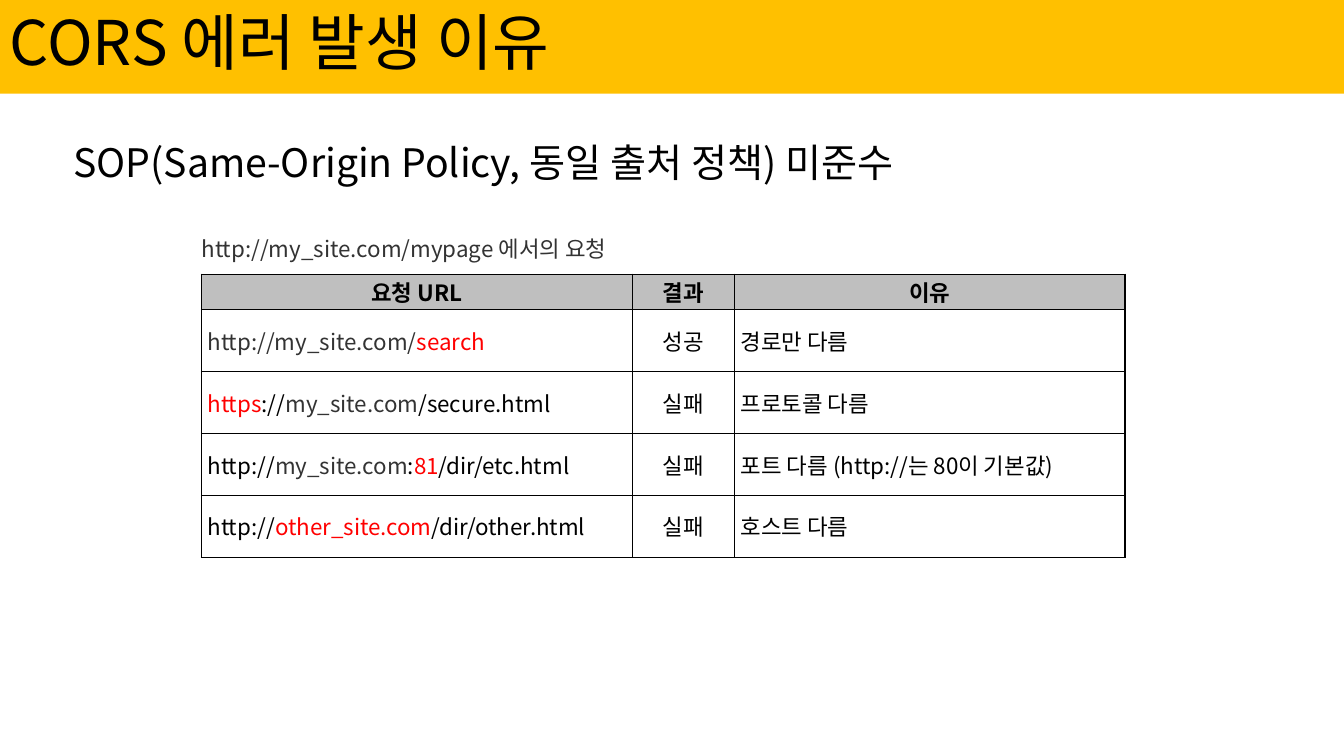
"""Build the slide that explains why CORS errors occur."""
from dataclasses import dataclass

from lxml.etree import SubElement
from pptx import Presentation
from pptx.dml.color import RGBColor
from pptx.enum.shapes import MSO_SHAPE
from pptx.enum.text import MSO_ANCHOR, PP_ALIGN
from pptx.oxml.ns import qn
from pptx.slide import Slide
from pptx.table import _Cell
from pptx.text.text import TextFrame
from pptx.util import Cm, Pt

FONT = "Noto Sans CJK KR"
COLORS = {
    "black": "000000",
    "gray": "333333",
    "red": "FF0000",
    "white": "FFFFFF",
    "header": "BFBFBF",
    "banner": "FFC000",
}
COLUMN_WIDTHS = (10.85, 2.59, 9.83)
HEADER_HEIGHT, ROW_HEIGHT = 0.89, 1.56
HEADERS = ("요청 URL", "결과", "이유")


@dataclass(frozen=True)
class Piece:
    text: str
    color: str = "black"


@dataclass(frozen=True)
class Request:
    url: tuple[Piece, ...]
    result: str
    reason: str


@dataclass(frozen=True)
class Label:
    pieces: tuple[Piece, ...]
    left: float
    top: float
    width: float
    height: float
    size: int
    anchor: MSO_ANCHOR = MSO_ANCHOR.MIDDLE
    margins: tuple[float, float] = (0.25, 0.13)
    line_spacing: float = 1.0
    space_before: int = 0
    fill: str | None = None


SITE = Piece("my_site.com", "gray")
REQUESTS = (
    Request((Piece("http://my_site.com/", "gray"), Piece("search", "red")), "성공", "경로만 다름"),
    Request((Piece("https", "red"), Piece("://"), SITE, Piece("/secure.html")), "실패", "프로토콜 다름"),
    Request(
        (Piece("http://"), SITE, Piece(":"), Piece("81", "red"), Piece("/dir/etc.html")),
        "실패",
        "포트 다름 (http://는 80이 기본값)",
    ),
    Request(
        (Piece("http://"), Piece("other_site.com", "red"), Piece("/dir/other.html")),
        "실패",
        "호스트 다름",
    ),
)
POLICY = Label(
    (Piece("SOP(Same-Origin Policy, 동일 출처 정책) 미준수"),),
    1.6, 3.48, 22.33, 1.37, 28,
    anchor=MSO_ANCHOR.TOP, line_spacing=0.9, space_before=10,
)
CAPTION = Label(
    (Piece("http://my_site.com/mypage 에서의 요청", "gray"),),
    5.08, 5.92, 14.88, 0.69, 16, margins=(0, 0),
)
BANNER = Label(
    (Piece("CORS 에러 발생 이유"),),
    0, -0.08, 33.87, 2.44, 44, line_spacing=0.9, fill="banner",
)


def color_of(name: str) -> RGBColor:
    return RGBColor.from_string(COLORS[name])


def write_text(
    frame: TextFrame, pieces: tuple[Piece, ...], size: int,
    bold: bool = False, alignment: PP_ALIGN = PP_ALIGN.LEFT,
) -> None:
    paragraph = frame.paragraphs[0]
    paragraph.alignment = alignment
    font = paragraph.font
    font.name, font.size, font.bold = FONT, Pt(size), bold
    uniform = len({piece.color for piece in pieces}) == 1
    if uniform:
        font.color.rgb = color_of(pieces[0].color)
    defaults = paragraph._p.pPr.find(qn("a:defRPr"))
    SubElement(defaults, qn("a:ea"), typeface=FONT)
    for piece in pieces:
        run = paragraph.add_run()
        run.text = piece.text
        if not uniform:
            run.font.color.rgb = color_of(piece.color)


def add_label(slide: Slide, label: Label) -> None:
    box = tuple(Cm(value) for value in (label.left, label.top, label.width, label.height))
    if label.fill:
        shape = slide.shapes.add_shape(MSO_SHAPE.RECTANGLE, *box)
        shape.shadow.inherit = False
        shape.fill.solid()
        shape.fill.fore_color.rgb = color_of(label.fill)
        shape.line.fill.background()
    else:
        shape = slide.shapes.add_textbox(*box)
    frame = shape.text_frame
    frame.word_wrap = True
    frame.vertical_anchor = label.anchor
    horizontal, vertical = label.margins
    frame.margin_left = frame.margin_right = Cm(horizontal)
    frame.margin_top = frame.margin_bottom = Cm(vertical)
    write_text(frame, label.pieces, label.size)
    paragraph = frame.paragraphs[0]
    paragraph.line_spacing = label.line_spacing
    paragraph.space_before = Pt(label.space_before)


def style_cell(cell: _Cell, fill: str, top: float, bottom: float) -> None:
    cell.vertical_anchor = MSO_ANCHOR.MIDDLE
    cell.margin_left = cell.margin_right = Cm(0.15)
    cell.margin_top, cell.margin_bottom = Cm(top), Cm(bottom)
    properties = cell._tc.get_or_add_tcPr()
    for side in ("lnL", "lnR", "lnT", "lnB"):
        border = SubElement(properties, qn(f"a:{side}"), w=str(Pt(1)))
        solid = SubElement(border, qn("a:solidFill"))
        SubElement(solid, qn("a:srgbClr"), val=COLORS["black"])
    cell.fill.solid()
    cell.fill.fore_color.rgb = color_of(fill)


def add_request_table(slide: Slide) -> None:
    heights = (HEADER_HEIGHT,) + (ROW_HEIGHT,) * len(REQUESTS)
    table = slide.shapes.add_table(
        len(heights), len(COLUMN_WIDTHS),
        Cm(5.08), Cm(6.91), Cm(sum(COLUMN_WIDTHS)), Cm(sum(heights)),
    ).table
    table.first_row = table.horz_banding = False
    for column, width in zip(table.columns, COLUMN_WIDTHS):
        column.width = Cm(width)
    for row, height in zip(table.rows, heights):
        row.height = Cm(height)
    for index, header in enumerate(HEADERS):
        cell = table.cell(0, index)
        style_cell(cell, "header", 0.03, 0.08)
        write_text(cell.text_frame, (Piece(header),), 16, True, PP_ALIGN.CENTER)
    for row_index, request in enumerate(REQUESTS, start=1):
        contents = (request.url, (Piece(request.result),), (Piece(request.reason),))
        for index, pieces in enumerate(contents):
            cell = table.cell(row_index, index)
            style_cell(cell, "white", 0.1, 0.1)
            alignment = PP_ALIGN.CENTER if index == 1 else PP_ALIGN.LEFT
            write_text(cell.text_frame, pieces, 16, alignment=alignment)


presentation = Presentation()
presentation.slide_width, presentation.slide_height = Cm(33.87), Cm(19.05)
slide = presentation.slides.add_slide(presentation.slide_layouts[6])
add_label(slide, POLICY)
add_request_table(slide)
add_label(slide, CAPTION)
add_label(slide, BANNER)
presentation.save("out.pptx")
